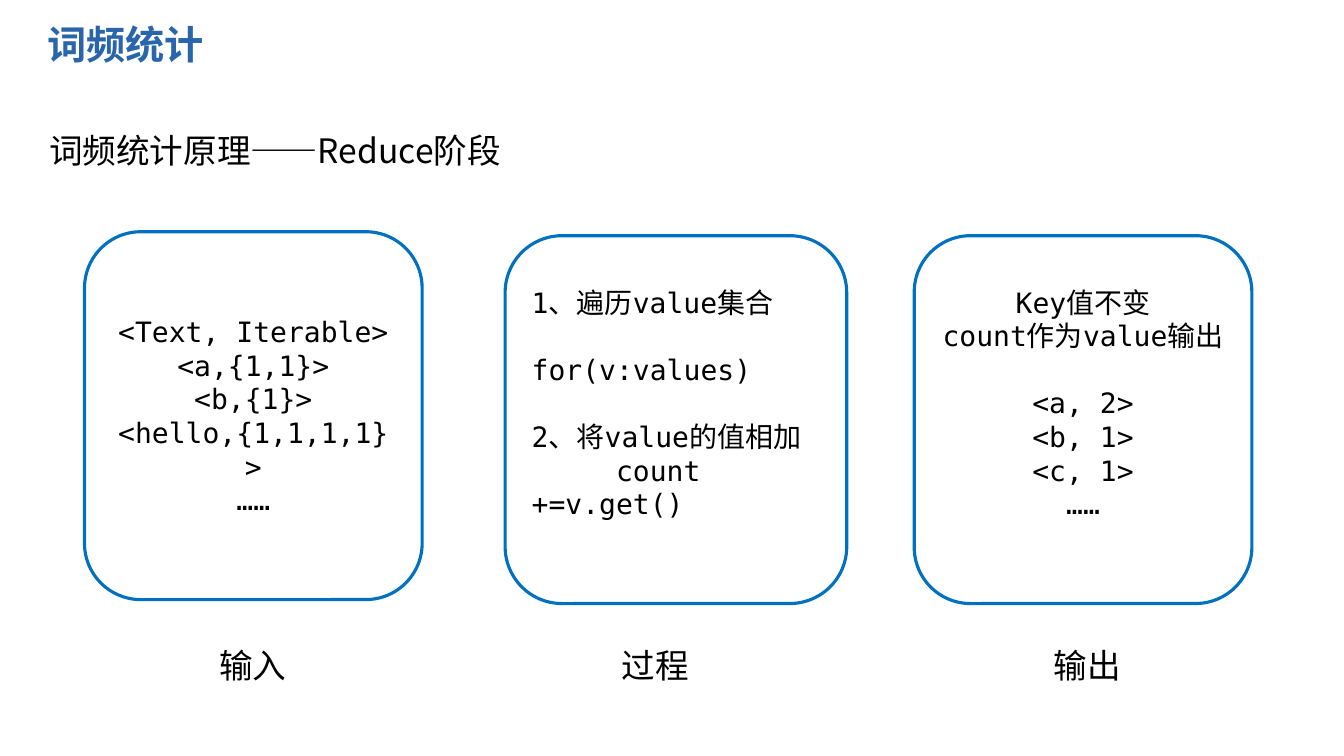
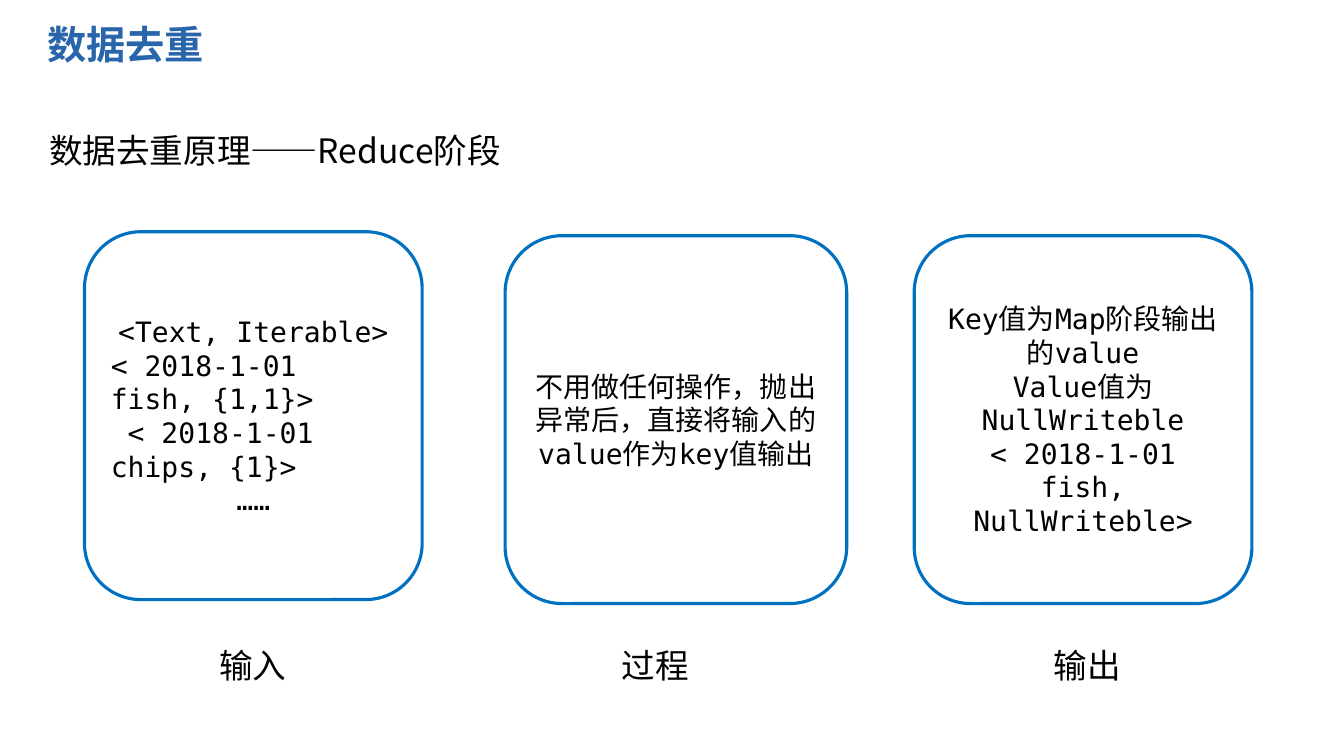
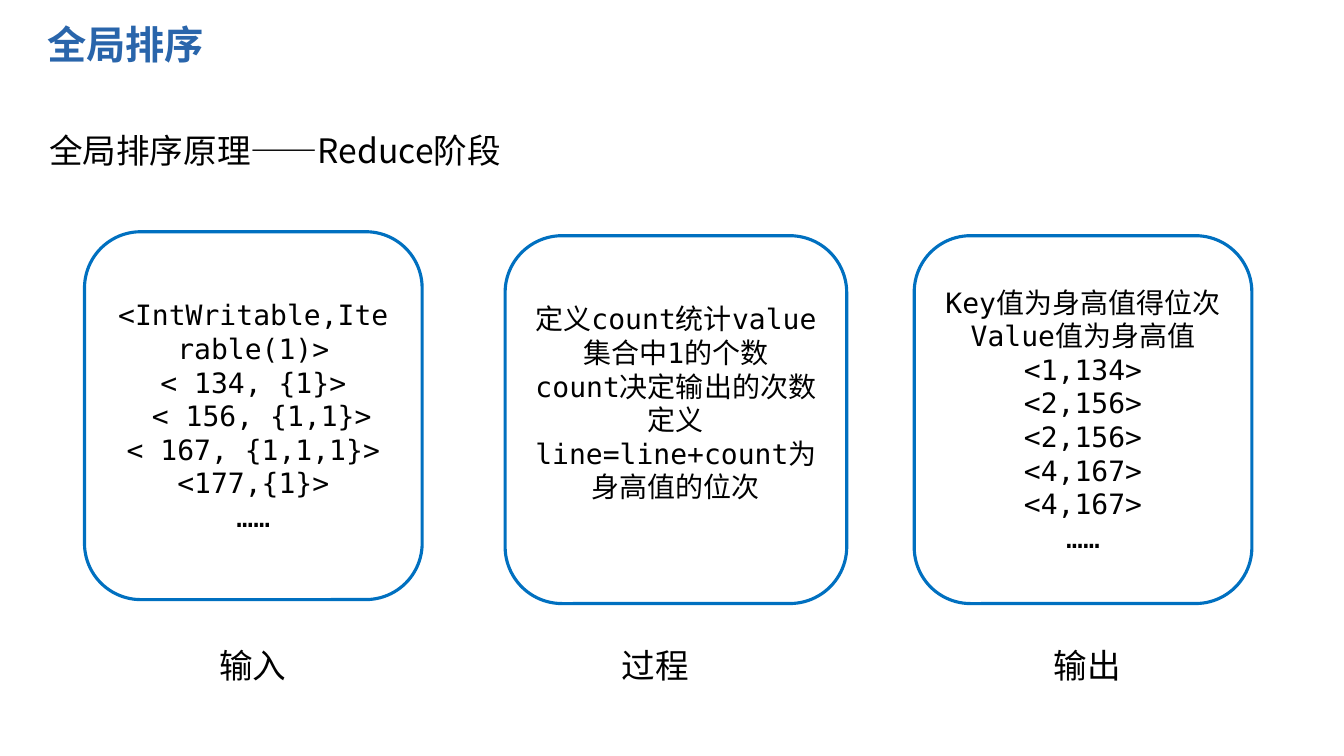
from pptx import Presentation
from pptx.dml.color import RGBColor
from pptx.enum.shapes import MSO_SHAPE
from pptx.enum.text import MSO_ANCHOR, PP_ALIGN
from pptx.oxml.ns import qn
from pptx.util import Cm, Pt

ROUND_RECT = MSO_SHAPE.ROUNDED_RECTANGLE
TOP, MIDDLE = MSO_ANCHOR.TOP, MSO_ANCHOR.MIDDLE
LEFT, CENTER = PP_ALIGN.LEFT, PP_ALIGN.CENTER

TITLE_BLUE, BORDER_BLUE, BLACK = "2965AB", "0070C0", "000000"
SANS, MONO = "Noto Sans CJK SC", "DejaVu Sans Mono"
LINE = 24  # height of one card line in points
INSET = 0.13

# Boxes in cm: left, top, width, height
TITLE_BOX = (0.94, 0.53, 13.51, 1.47)
SUBTITLE_BOX = (0.99, 3.15, 31.19, 5.38)
CARD_BOXES = [
    (2.13, 5.84, 8.51, 9.27),
    (12.73, 5.94, 8.61, 9.27),
    (23.04, 5.94, 8.51, 9.27),
]
# Stage name and its offset from the left edge of the card
STAGES = [("输入", 3.15), ("过程", 2.69), ("输出", 3.27)]
LABEL_TOP = 16.13

# A card is a list of lines and the space kept free below them in cm.
# A line is plain centred text, or (text, alignment, space before in points).
SLIDES = [
    ("词频统计", [
        (["<Text, Iterable>", "<a,{1,1}>", "<b,{1}>", "<hello,{1,1,1,1}>", "……"], 0),
        ([("1、遍历value集合", LEFT, 0),
          ("     for(v:values)", LEFT, 0),
          ("2、将value的值相加", LEFT, LINE),
          ("     count +=v.get()", LEFT, 0)], 0.85),
        (["Key值不变", "count作为value输出", ("<a, 2>", CENTER, LINE),
          "<b, 1>", "<c, 1>", "……"], 0.85),
    ]),
    ("数据去重", [
        (["<Text, Iterable>",
          ("< 2018-1-01 fish, {1,1}>", LEFT, 0),
          (" < 2018-1-01 chips, {1}>", LEFT, 0),
          "……"], 0),
        (["不用做任何操作，抛出异常后，直接将输入的value作为key值输出"], 0),
        (["Key值为Map阶段输出的value", "Value值为NullWriteble",
          "< 2018-1-01 fish, NullWriteble>"], 0),
    ]),
    ("全局排序", [
        (["<IntWritable,Iterable(1)>", "< 134, {1}>", " < 156, {1,1}>",
          "< 167, {1,1,1}>", "<177,{1}>", "……"], 0),
        (["定义count统计value集合中1的个数", "count决定输出的次数",
          "定义line=line+count为身高值的位次"], 0.85),
        (["Key值为身高值得位次", "Value值为身高值", "<1,134>", "<2,156>",
          "<2,156>", "<4,167>", "<4,167>", "……"], 0),
    ]),
]


def rgb(color):
    return RGBColor.from_string(color)


def add_run(p, text, size, font, color=BLACK, bold=False):
    r = p.add_run()
    r.text = text
    r.font.size = Pt(size)
    r.font.bold = bold
    r.font.name = font
    r.font.color.rgb = rgb(color)
    ea = r.font._element.makeelement(qn("a:ea"), {"typeface": font})
    r.font._element.find(qn("a:latin")).addnext(ea)


def add_text(slide, box, text, size, color=BLACK, bold=False, wrap=True):
    tf = slide.shapes.add_textbox(*map(Cm, box)).text_frame
    tf.word_wrap = wrap
    tf.vertical_anchor = TOP
    p = tf.paragraphs[0]
    add_run(p, text, size, SANS, color, bold)
    return p


def add_heading(slide, topic):
    p = add_text(slide, TITLE_BOX, topic, 28, TITLE_BLUE, bold=True)
    p.line_spacing = 0.9
    add_text(slide, SUBTITLE_BOX, f"{topic}原理——Reduce阶段", 24)


def add_card(slide, box, lines, space_below):
    sp = slide.shapes.add_shape(ROUND_RECT, *map(Cm, box))
    sp.shadow.inherit = False
    sp.fill.background()
    sp.line.color.rgb = rgb(BORDER_BLUE)
    sp.line.width = Pt(2.25)
    tf = sp.text_frame
    tf.word_wrap = True
    tf.vertical_anchor = MIDDLE
    tf.margin_bottom = Cm(INSET + space_below)
    for i, line in enumerate(lines):
        text, align, gap = (line, CENTER, 0) if isinstance(line, str) else line
        p = tf.add_paragraph() if i else tf.paragraphs[0]
        p.alignment = align
        if gap:
            p.space_before = Pt(gap)
        add_run(p, text, 20, MONO)


def add_stage(slide, box, card, stage):
    lines, space_below = card
    name, offset = stage
    add_card(slide, box, lines, space_below)
    add_text(slide, (box[0] + offset, LABEL_TOP, 2.24, 1.27), name, 24, wrap=False)


def main():
    prs = Presentation()
    prs.slide_width, prs.slide_height = Cm(33.87), Cm(19.05)
    for topic, cards in SLIDES:
        slide = prs.slides.add_slide(prs.slide_layouts[6])
        add_heading(slide, topic)
        for box, card, stage in zip(CARD_BOXES, cards, STAGES):
            add_stage(slide, box, card, stage)
    prs.save("out.pptx")


if __name__ == "__main__":
    main()
